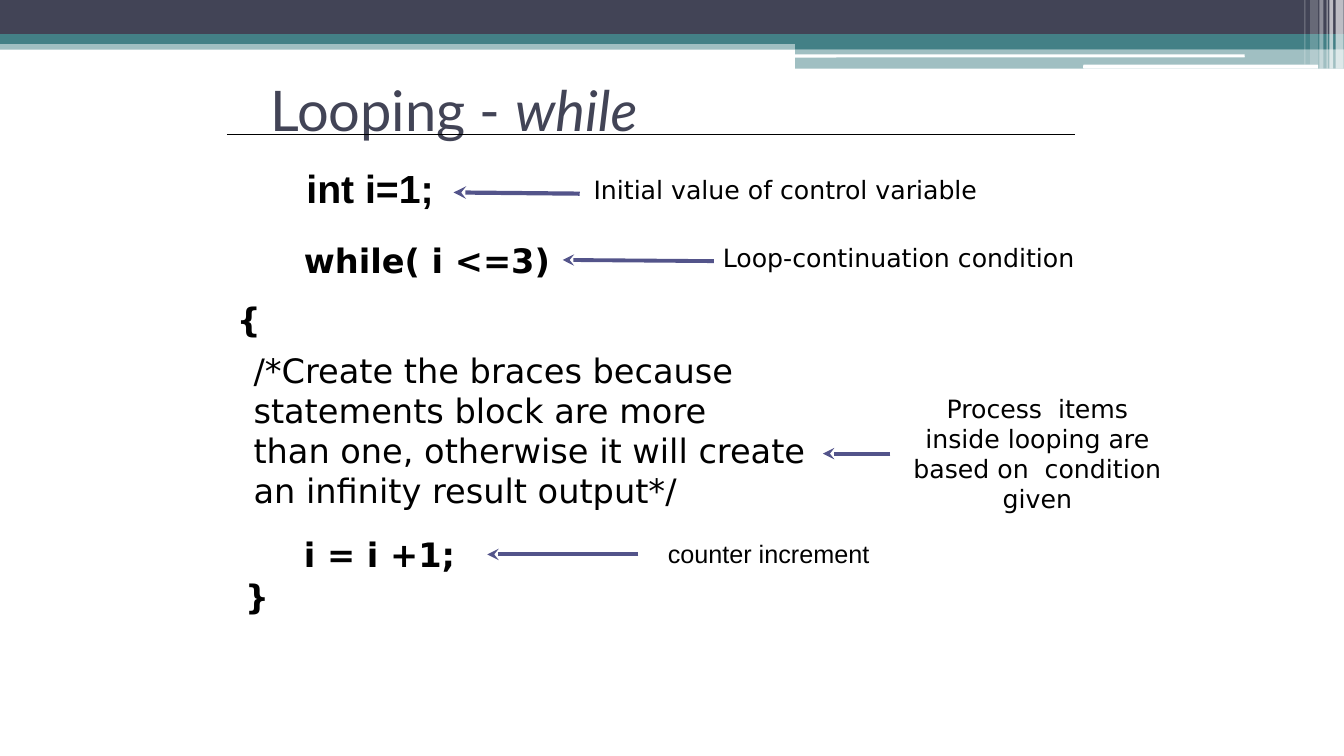
"""Build a slide that explains the parts of a while loop."""
from lxml import etree
from pptx import Presentation
from pptx import util as u
from pptx.dml.color import RGBColor
from pptx.enum import shapes, text
from pptx.oxml.ns import qn

COLORS = {
    "navy": "424456",
    "teal": "438086",
    "white": "FFFFFF",
    "black": "000000",
    "arrow": "53548A",
}
CODE_FONT = "DejaVu Sans"
PLAIN_FONT = "Arial"

presentation = Presentation()
presentation.slide_width = u.Cm(33.87)
presentation.slide_height = u.Cm(19.05)
slide = presentation.slides.add_slide(presentation.slide_layouts[5])


def add_text(content, box, size, font=CODE_FONT, bold=False, centered=False):
    """Add a wrapped text box holding one paragraph and return it."""
    shape = slide.shapes.add_textbox(*[u.Cm(length) for length in box])
    shape.text_frame.word_wrap = True
    paragraph = shape.text_frame.paragraphs[0]
    paragraph.text = content
    paragraph.alignment = text.PP_ALIGN.CENTER if centered else text.PP_ALIGN.LEFT
    for run in paragraph.runs:
        run.font.name = font
        run.font.size = u.Pt(size)
        run.font.bold = bold
        run.font.color.rgb = RGBColor.from_string(COLORS["black"])
    return shape


def add_line(start_x, start_y, end_x, end_y, color, width):
    """Add a straight line without shadow and return it."""
    ends = [u.Cm(length) for length in (start_x, start_y, end_x, end_y)]
    line = slide.shapes.add_connector(shapes.MSO_CONNECTOR.STRAIGHT, *ends)
    line.line.color.rgb = RGBColor.from_string(COLORS[color])
    line.line.width = u.Pt(width)
    etree.SubElement(line._element.spPr, qn("a:effectLst"))
    return line


RECTANGLE = shapes.MSO_SHAPE.RECTANGLE
ROUNDED = shapes.MSO_SHAPE.ROUNDED_RECTANGLE
header_bars = [
    (RECTANGLE, 0, 1.02, 33.87, 0.23, "teal", 50),
    (RECTANGLE, 0, 0, 33.87, 0.86, "navy", 100),
    (RECTANGLE, 0, 0.86, 33.87, 0.25, "teal", 100),
    (RECTANGLE, 20.04, 0.99, 13.83, 0.25, "teal", 100),
    (RECTANGLE, 20.04, 1.22, 13.83, 0.51, "teal", 50),
    (ROUNDED, 20.02, 1.37, 11.35, 0.08, "white", 100),
    (ROUNDED, 27.3, 1.63, 5.92, 0.1, "white", 100),
    (RECTANGLE, 33.66, 0, 0.2, 1.73, "white", 65),
    (RECTANGLE, 33.5, 0, 0.1, 1.73, "white", 65),
    (RECTANGLE, 33.43, 0, 0.03, 1.73, "white", 60),
    (RECTANGLE, 33.25, 0, 0.1, 1.73, "white", 40),
    (RECTANGLE, 33.02, 0, 0.2, 1.63, "white", 20),
    (RECTANGLE, 32.87, 0, 0.03, 1.63, "white", 30),
]
for preset, left, top, width, height, color, opacity in header_bars:
    bar = slide.shapes.add_shape(
        preset, u.Cm(left), u.Cm(top), u.Cm(width), u.Cm(height))
    bar.shadow.inherit = False
    bar.line.fill.background()
    bar.fill.solid()
    bar.fill.fore_color.rgb = RGBColor.from_string(COLORS[color])
    if opacity < 100:
        fill_color = bar._element.spPr.find(qn("a:solidFill"))[0]
        etree.SubElement(fill_color, qn("a:alpha"), val=str(opacity * 1000))

title = slide.shapes.title
title.left, title.top = u.Cm(5.29), u.Cm(1.27)
title.width, title.height = u.Cm(22.86), u.Cm(2.97)
title.text_frame.vertical_anchor = text.MSO_ANCHOR.MIDDLE
title_paragraph = title.text_frame.paragraphs[0]
title_paragraph.alignment = text.PP_ALIGN.LEFT
for content, italic in [("\tLooping - ", False), ("while", True)]:
    run = title_paragraph.add_run()
    run.text = content
    run.font.name = "Lato"
    run.font.size = u.Pt(40)
    run.font.italic = italic
    run.font.color.rgb = RGBColor.from_string(COLORS["navy"])
add_line(5.72, 3.38, 27.1, 3.38, "black", 0.75)

add_text(" int i=1;", (7.2, 4.02, 4.02, 1.48), 28, PLAIN_FONT, bold=True)
code_lines = [
    ("while( i <=3)", 7.41, 5.93, 7.41),
    ("{", 5.72, 7.41, 1.12),
    ("i = i +1;", 7.41, 13.34, 7.41),
    ("}", 5.93, 14.38, 1.12),
]
for content, left, top, width in code_lines:
    add_text(content, (left, top, width, 1.28), 24, bold=True)
add_text(
    "/*Create the braces because statements block are more \n"
    "than one, otherwise it will create an infinity result output*/",
    (6.14, 8.68, 14.61, 4.37), 24)

notes = [
    ("Initial value of control variable", (14.61, 4.27, 10.37, 1.02), CODE_FONT),
    ("Loop-continuation condition", (17.36, 5.97, 10.58, 1.02), CODE_FONT),
    ("Process  items inside looping are based on  condition given",
     (22.65, 9.78, 6.99, 3.33), CODE_FONT),
    ("counter increment", (16.09, 13.44, 6.56, 1.02), PLAIN_FONT),
]
for content, box, font in notes:
    note = add_text(content, box, 18, font, centered=True)
note.fill.solid()
note.fill.fore_color.rgb = RGBColor.from_string(COLORS["white"])

arrows = [
    (14.61, 4.88, 11.43, 4.85, 3),
    (17.99, 6.58, 14.18, 6.55, 2.75),
    (22.44, 11.43, 20.74, 11.43, 2.75),
    (16.09, 13.97, 12.28, 13.97, 2.75),
]
for start_x, start_y, end_x, end_y, width in arrows:
    arrow = add_line(start_x, start_y, end_x, end_y, "arrow", width)
    etree.SubElement(arrow.line._get_or_add_ln(), qn("a:tailEnd"), type="stealth")

presentation.save("out.pptx")
